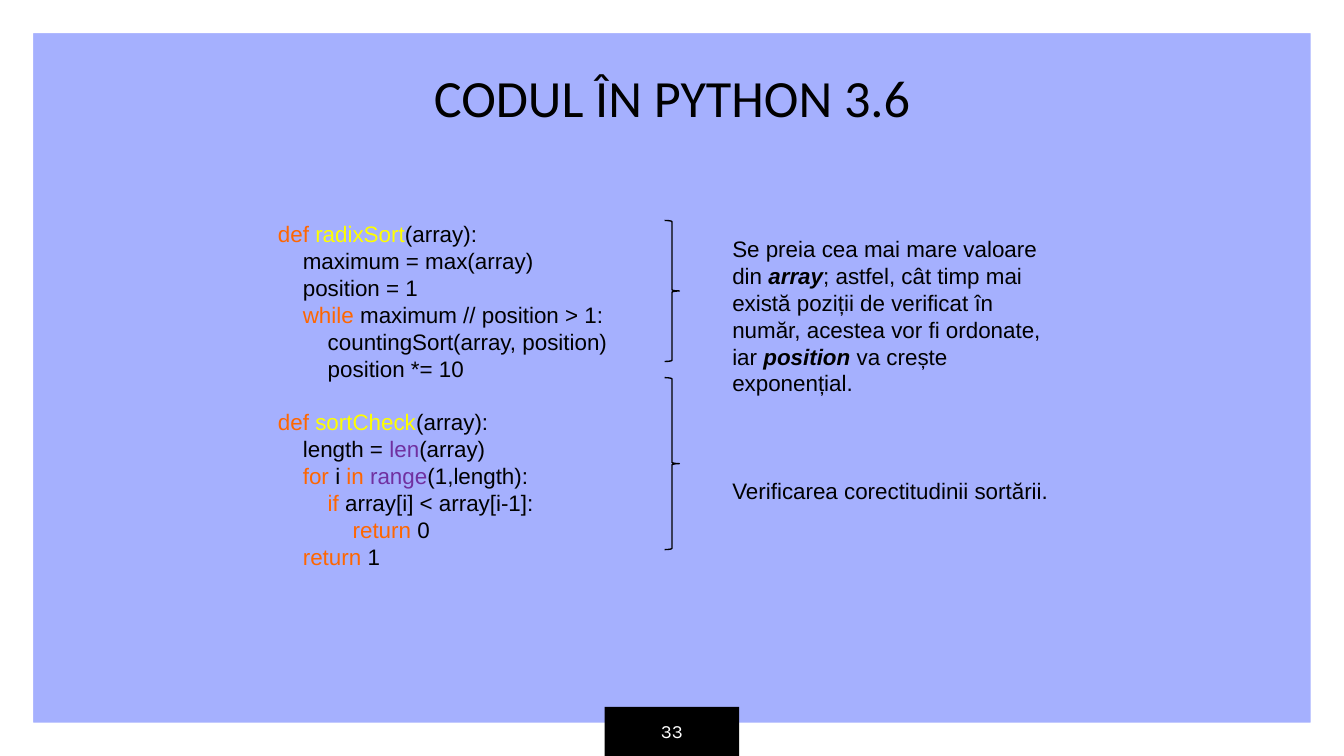
import pptx
import pptx.dml.color
import pptx.enum.shapes
import pptx.enum.text
import pptx.util

COLUMNS, ROWS = 100, 56.25
CELL = pptx.util.Inches(0.1)
LINE_HEIGHT = 14.4
INDENT = 13.34
BLACK, WHITE, LAVENDER = "000000", "FFFFFF", "A5B0FE"
ORANGE, YELLOW, PURPLE = "FF6600", "FFFF00", "7030A0"

TOKEN_COLOURS = {
    **dict.fromkeys(["def", "while", "for", "in", "if", "return"], ORANGE),
    **dict.fromkeys(["radixSort", "sortCheck"], YELLOW),
    **dict.fromkeys(["len", "range"], PURPLE),
}

RADIX_SORT = [
    (0, ["def ", "radixSort", "(array):"]),
    (1, ["maximum = max(array)"]),
    (1, ["position = 1"]),
    (1, ["while", " maximum // position > 1:"]),
    (2, ["countingSort(array, position)"]),
    (2, ["position *= 10"]),
]
SORT_CHECK = [
    (0, ["def ", "sortCheck", "(array):"]),
    (1, ["length = ", "len", "(array)"]),
    (1, ["for ", "i ", "in ", "range", "(1,length):"]),
    (2, ["if", " array[i] < array[i-1]:"]),
    (3, ["return", " 0"]),
    (1, ["return", " 1"]),
]
EXPLANATIONS = [
    ["Se preia cea mai mare valoare din ", "array",
     "; astfel, cât timp mai există poziții de verificat în număr, "
     "acestea vor fi ordonate, iar ", "position", " va crește exponențial."],
    ["Verificarea corectitudinii sortării."],
]
EMPHASISED = {"array", "position"}


def colour(hex_code):
    return pptx.dml.color.RGBColor.from_string(hex_code)


def grid(*cells):
    return [round(cell * CELL) for cell in cells]


def add_block(slide, area, fill, kind="RECTANGLE"):
    preset = getattr(pptx.enum.shapes.MSO_SHAPE, kind)
    block = slide.shapes.add_shape(preset, *grid(*area))
    block.shadow.inherit = False
    block.fill.solid()
    block.fill.fore_color.rgb = colour(fill)
    block.line.fill.background()
    return block


def add_brace(slide, area):
    brace = slide.shapes.add_shape(pptx.enum.shapes.MSO_SHAPE.RIGHT_BRACE, *grid(*area))
    brace.shadow.inherit = False
    brace.fill.background()
    brace.line.color.rgb = colour(BLACK)
    brace.line.width = pptx.util.Pt(0.75)


def add_frame(slide, area):
    frame = slide.shapes.add_textbox(*grid(*area)).text_frame
    frame.word_wrap = True
    return frame


def style(run, size=12, font="Arial", hex_code=BLACK):
    run.font.size = pptx.util.Pt(size)
    run.font.name = font
    run.font.color.rgb = colour(hex_code)


def add_label(slide, area, text, size, font, hex_code):
    frame = add_frame(slide, area)
    frame.margin_left = frame.margin_right = CELL
    frame.margin_top = frame.margin_bottom = CELL
    frame.vertical_anchor = pptx.enum.text.MSO_ANCHOR.MIDDLE
    frame.text = text
    label = frame.paragraphs[0]
    label.alignment = pptx.enum.text.PP_ALIGN.CENTER
    style(label.runs[0], size, font, hex_code)


def add_line(frame, pieces, first=False, gap_lines=0):
    line = frame.paragraphs[0] if first else frame.add_paragraph()
    line.line_spacing = pptx.util.Pt(LINE_HEIGHT)
    line.space_before = pptx.util.Pt(LINE_HEIGHT * gap_lines)
    for piece in pieces:
        run = line.add_run()
        run.text = piece
        style(run)
    return line


def add_code(slide, area, functions):
    frame = add_frame(slide, area)
    for order, function in enumerate(functions):
        for row, (depth, tokens) in enumerate(function):
            gap = 1 if order and not row else 0
            line = add_line(frame, tokens, first=not order and not row, gap_lines=gap)
            properties = line._p.get_or_add_pPr()
            properties.set("marL", str(pptx.util.Pt(depth * INDENT)))
            properties.set("indent", "0")
            for run in line.runs:
                run.font.color.rgb = colour(TOKEN_COLOURS.get(run.text.strip(), BLACK))


def add_explanations(slide, area):
    frame = add_frame(slide, area)
    frame.margin_top = pptx.util.Inches(0.05) + pptx.util.Pt(LINE_HEIGHT)
    for order, pieces in enumerate(EXPLANATIONS):
        line = add_line(frame, pieces, first=not order, gap_lines=3 * order)
        for run in line.runs:
            run.font.bold = run.font.italic = run.text in EMPHASISED


def main():
    deck = pptx.Presentation()
    deck.slide_width, deck.slide_height = grid(COLUMNS, ROWS)
    slide = deck.slides.add_slide(deck.slide_layouts[6])
    slide.background.fill.solid()
    slide.background.fill.fore_color.rgb = colour(LAVENDER)

    border = add_block(slide, (0, 0, COLUMNS, ROWS), WHITE, "FRAME")
    border.adjustments[0] = 0.044
    page_tab = (45, ROWS - 3.65, 10, 3.65)
    add_block(slide, page_tab, BLACK)
    add_label(slide, page_tab, "33", 10, "Karla", WHITE)
    add_label(slide, (2.6, 2.5, 94.8, 9.4), "CODUL ÎN PYTHON 3.6", 28, "Calibri", BLACK)

    add_code(slide, (19.7, 15.9, 37, 27.3), [RADIX_SORT, SORT_CHECK])
    for top, height in [(16.4, 10.5), (28.1, 12.8)]:
        add_brace(slide, (49.45, top, 1.1, height))
    add_explanations(slide, (53.5, 15, 26.8, 23.2))
    deck.save("out.pptx")


if __name__ == "__main__":
    main()
